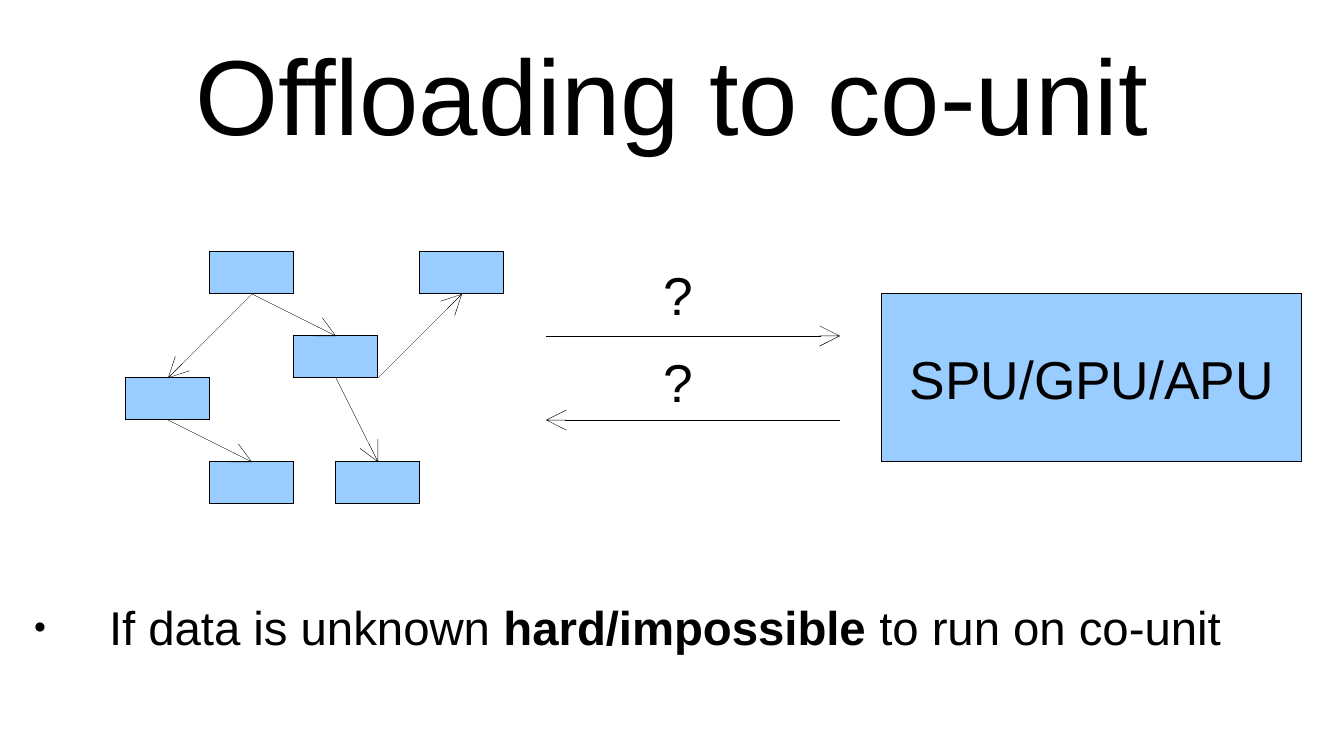
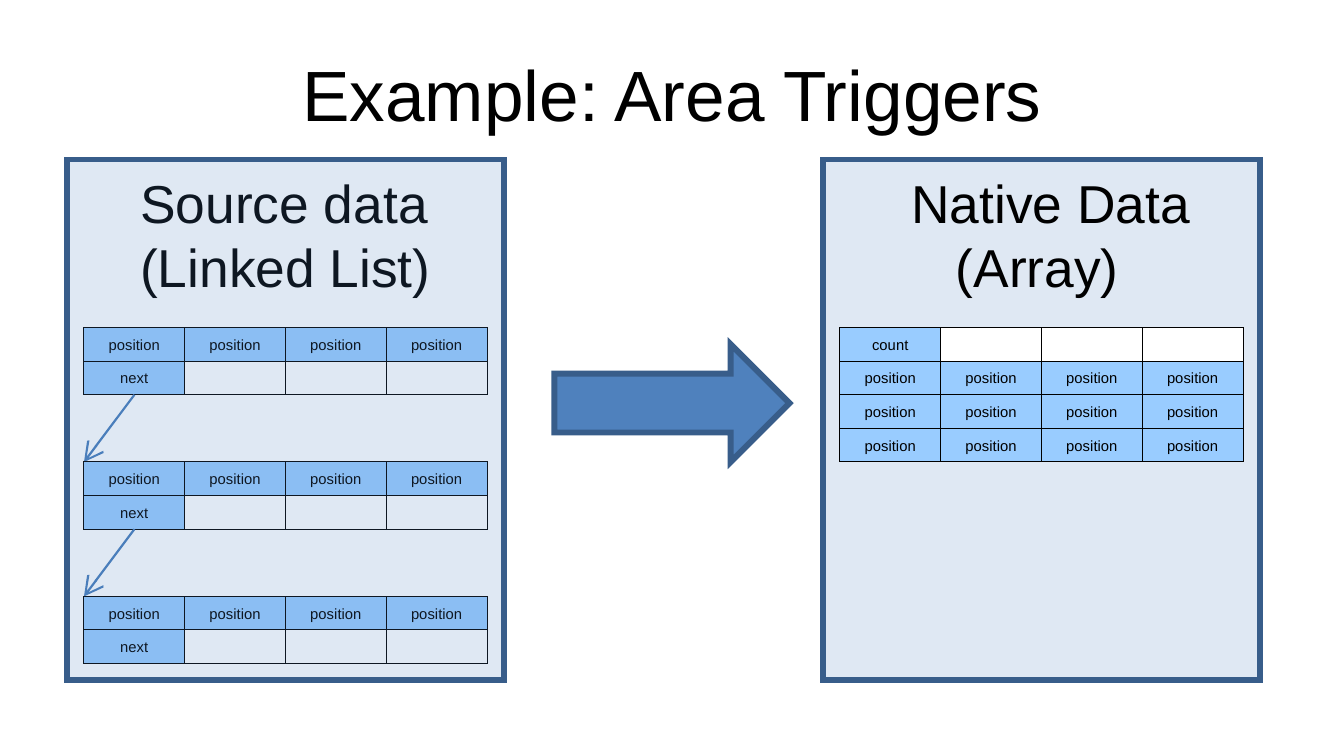
import dataclasses

import lxml.etree
import pptx
import pptx.dml.color
import pptx.enum.shapes
import pptx.enum.text
import pptx.oxml.ns
import pptx.util

Cm, Pt = pptx.util.Cm, pptx.util.Pt
RGB = pptx.dml.color.RGBColor.from_string
SHAPE = pptx.enum.shapes.MSO_SHAPE
ALIGN = pptx.enum.text.PP_ALIGN
ANCHOR = pptx.enum.text.MSO_ANCHOR
qn = pptx.oxml.ns.qn
TOP, BOTTOM = 0, 2  # connection sites of a rectangle


@dataclasses.dataclass(frozen=True)
class Theme:
    font: str = "Arial"
    ink: str = "000000"
    paper: str = "FFFFFF"
    block: str = "99CCFF"
    accent: str = "4F81BD"
    accent_edge: str = "385D8A"
    pointer: str = "4A7EBB"
    veil: int = 18
    hairline: float = 0
    pointer_width: float = 0.75
    edge: float = 2
    big_title: float = 36
    title: float = 24
    label: float = 18
    body: float = 16
    cell: float = 5


THEME = Theme()


# Shared helpers; all lengths are in centimetres
def sub(parent, tag, **attrs):
    return lxml.etree.SubElement(parent, qn(tag), attrs)


def write(p, text, size=THEME.label, bold=False, align=None):
    """Add a formatted run to a paragraph."""
    r = p.add_run()
    r.text = text
    r.font.name, r.font.size, r.font.bold = THEME.font, Pt(size), bold
    r.font.color.rgb = RGB(THEME.ink)
    if align is not None:
        p.alignment = align


def box(x, y, w, h):
    return Cm(x), Cm(y), Cm(w), Cm(h)


def add_text_box(s, x, y, w, h):
    tf = s.shapes.add_textbox(*box(x, y, w, h)).text_frame
    tf.word_wrap = True
    return tf


def set_line(sp, color, width):
    """Set colour, width and mitred corners, and return the line element."""
    sp.line.color.rgb = RGB(color)
    ln = sp.element.spPr.find(qn("a:ln"))
    # A hairline needs its zero width written out
    ln.set("w", str(Pt(width)))
    sub(ln, "a:miter", lim="800000")
    return ln


def add_block(s, x, y, w, h, kind=SHAPE.RECTANGLE, fill=THEME.block,
              line=THEME.ink, width=THEME.hairline, alpha=None,
              text="", size=THEME.label):
    sp = s.shapes.add_shape(kind, *box(x, y, w, h))
    sp.shadow.inherit = False
    sp.fill.solid()
    sp.fill.fore_color.rgb = RGB(fill)
    if alpha is not None:
        color = sp.element.spPr.find(qn("a:solidFill")).find(qn("a:srgbClr"))
        sub(color, "a:alpha", val=str(alpha * 1000))
    set_line(sp, line, width)
    if text:
        tf = sp.text_frame
        tf.vertical_anchor = ANCHOR.MIDDLE
        write(tf.paragraphs[0], text, size=size, align=ALIGN.CENTER)
    return sp


def add_arrow(s, x1, y1, x2, y2, color=THEME.ink, width=THEME.hairline):
    line = s.shapes.add_connector(pptx.enum.shapes.MSO_CONNECTOR.STRAIGHT,
                                  Cm(x1), Cm(y1), Cm(x2), Cm(y2))
    sub(set_line(line, color, width), "a:tailEnd", type="arrow")
    sub(line.element.spPr, "a:effectLst")
    return line


def add_slide(prs, title, size):
    s = prs.slides.add_slide(prs.slide_layouts[5])
    sp = s.shapes.title
    sp.left, sp.top, sp.width, sp.height = box(0.8, 0.36, 14.4, 1.5)
    tf = sp.text_frame
    tf.margin_left = tf.margin_right = tf.margin_top = tf.margin_bottom = 0
    tf.vertical_anchor = ANCHOR.MIDDLE
    tf.auto_size = pptx.enum.text.MSO_AUTO_SIZE.NONE
    write(tf.paragraphs[0], title, size=size, align=ALIGN.CENTER)
    return s


# Regions of the offloading slide
def draw_object_graph(s, x, y):
    w, h = 1, 0.5
    places = {"root": (1, 0), "middle": (2, 1), "left": (0, 1.5),
              "left_leaf": (1, 2.5), "middle_leaf": (2.5, 2.5), "far": (3.5, 0)}
    nodes = {name: add_block(s, x + dx, y + dy, w, h)
             for name, (dx, dy) in places.items()}
    for start, end in (("root", "middle"), ("root", "left"),
                       ("left", "left_leaf"), ("middle", "middle_leaf")):
        link = add_arrow(s, x, y, x, y)
        link.begin_connect(nodes[start], BOTTOM)
        link.end_connect(nodes[end], TOP)
    # The upward link leaves from the corner of the middle node
    (mx, my), (fx, fy) = places["middle"], places["far"]
    link = add_arrow(s, x + mx + w, y + my + h, x + fx + w / 2, y + fy + h)
    link.end_connect(nodes["far"], BOTTOM)


def draw_exchange(s, x, y, w):
    gap = 1
    add_arrow(s, x, y, x + w, y)
    add_arrow(s, x + w, y + gap, x, y + gap)
    for row in range(2):
        tf = add_text_box(s, x + 1.15, y - 1 + row * 1.03, 0.86, 1)
        write(tf.paragraphs[0], "?")


def draw_conclusion(s, x, y, w, h):
    tf = add_text_box(s, x, y, w, h)
    tf.margin_left = tf.margin_right = tf.margin_top = tf.margin_bottom = 0
    p = tf.paragraphs[0]
    pPr = p._p.get_or_add_pPr()
    pPr.set("marL", str(Cm(1.2)))
    pPr.set("indent", str(-Cm(0.9)))
    sub(pPr, "a:buSzPct", val="45000")
    sub(pPr, "a:buFont", typeface=THEME.font)
    sub(pPr, "a:buChar", char="●")
    for text, bold in (("If data is unknown ", False),
                       ("hard/impossible", True),
                       (" to run on co-unit", False)):
        write(p, text, size=THEME.body, bold=bold)


# Regions of the area triggers slide
CELL_W, CELL_H = 1.2, 0.4
POSITIONS = ["position"] * 4


def draw_memory(s, x, y, rows):
    """Draw rows of memory slots and return the first slot of the last row."""
    for row, texts in enumerate(rows):
        slots = [add_block(s, x + column * CELL_W, y + row * CELL_H,
                           CELL_W, CELL_H, text=text, size=THEME.cell,
                           fill=THEME.block if text else THEME.paper)
                 for column, text in enumerate(texts)]
    return slots[0]


def draw_heading(s, x, y, lines, second_indent=0):
    tf = add_text_box(s, x, y, 4.1, 1.78)
    write(tf.paragraphs[0], lines[0])
    p = tf.add_paragraph()
    p._p.get_or_add_pPr().set("marL", str(Cm(second_indent)))
    write(p, lines[1])


def draw_panel(s, x, y, w, h):
    add_block(s, x, y, w, h, fill=THEME.accent, line=THEME.accent_edge,
              width=THEME.edge, alpha=THEME.veil)


def draw_linked_list(s, x, y, w, h):
    pitch, count = 1.6, 3
    left, top = x + 0.2, y + 2
    for i in range(count):
        record_top = top + i * pitch
        slot = draw_memory(s, left, record_top, [POSITIONS, ["next", "", "", ""]])
        if i < count - 1:
            pointer = add_arrow(s, left + CELL_W / 2, record_top + 2 * CELL_H,
                                left, record_top + pitch,
                                color=THEME.pointer, width=THEME.pointer_width)
            pointer.begin_connect(slot, BOTTOM)
    draw_heading(s, x + 0.62, y, ("Source data", "(Linked List)"))
    # The translucent panel lies over the records
    draw_panel(s, x, y, w, h)


def draw_array(s, x, y, w, h):
    draw_panel(s, x, y, w, h)
    draw_heading(s, x + 0.8, y, ("Native Data", "(Array)"), second_indent=0.53)
    draw_memory(s, x + 0.2, y + 2, [["count", "", "", ""]] + [POSITIONS] * 3)


# Slides
def build_offloading(prs):
    s = add_slide(prs, "Offloading to co-unit", THEME.big_title)
    draw_object_graph(s, 1.5, 3)
    draw_exchange(s, 6.5, 4, 3.5)
    add_block(s, 10.5, 3.5, 5, 2, text="SPU/GPU/APU")
    draw_conclusion(s, 0.1, 7.12, 14.9, 0.9)


def build_area_triggers(prs):
    s = add_slide(prs, "Example: Area Triggers", THEME.title)
    draw_linked_list(s, 0.8, 1.9, 5.2, 6.2)
    add_block(s, 6.6, 4.1, 2.8, 1.4, kind=SHAPE.RIGHT_ARROW, fill=THEME.accent,
              line=THEME.accent_edge, width=THEME.edge)
    draw_array(s, 9.8, 1.9, 5.2, 6.2)


def main():
    prs = pptx.Presentation()
    prs.slide_width, prs.slide_height = Cm(16), Cm(9)
    build_offloading(prs)
    build_area_triggers(prs)
    prs.save("out.pptx")


if __name__ == "__main__":
    main()
